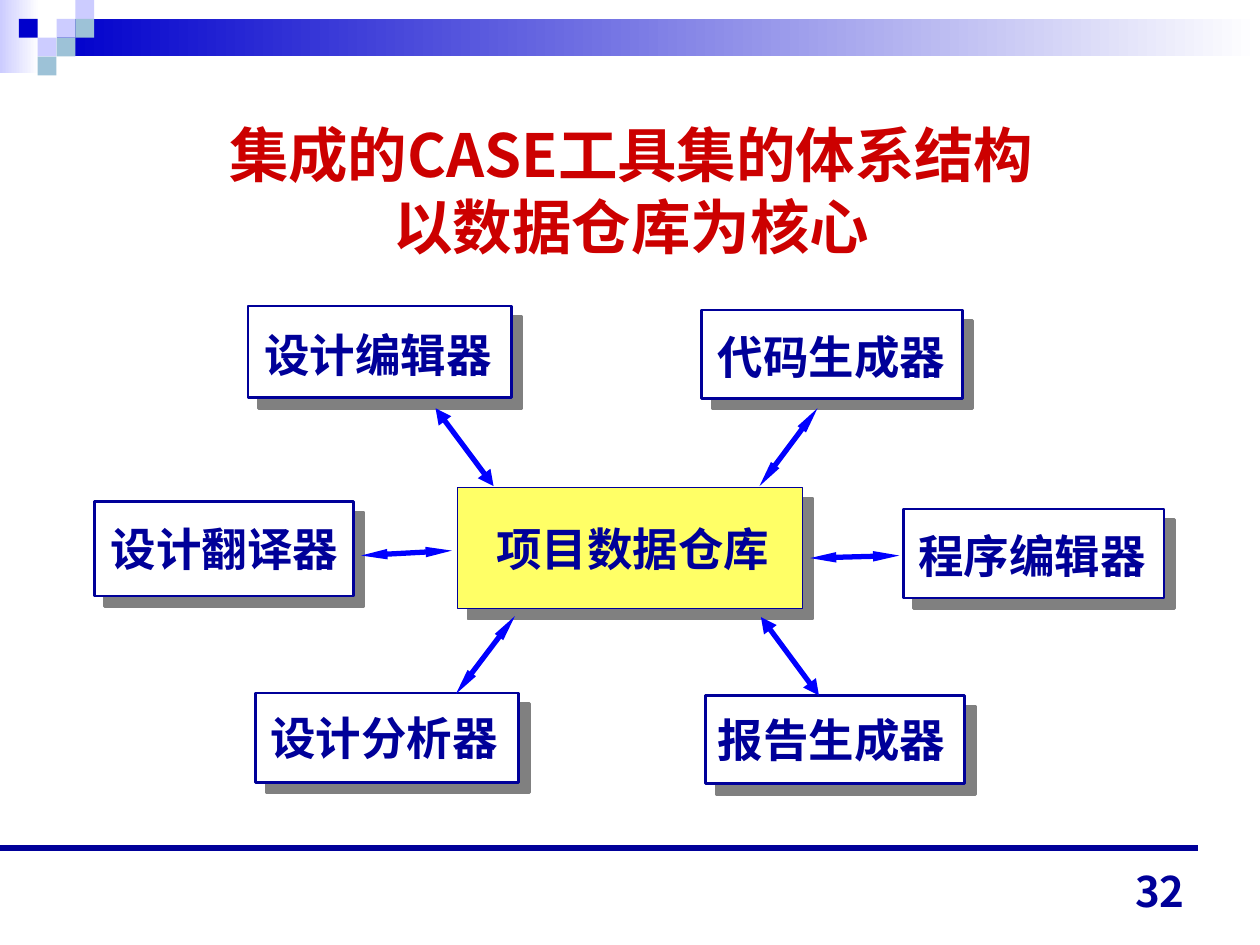
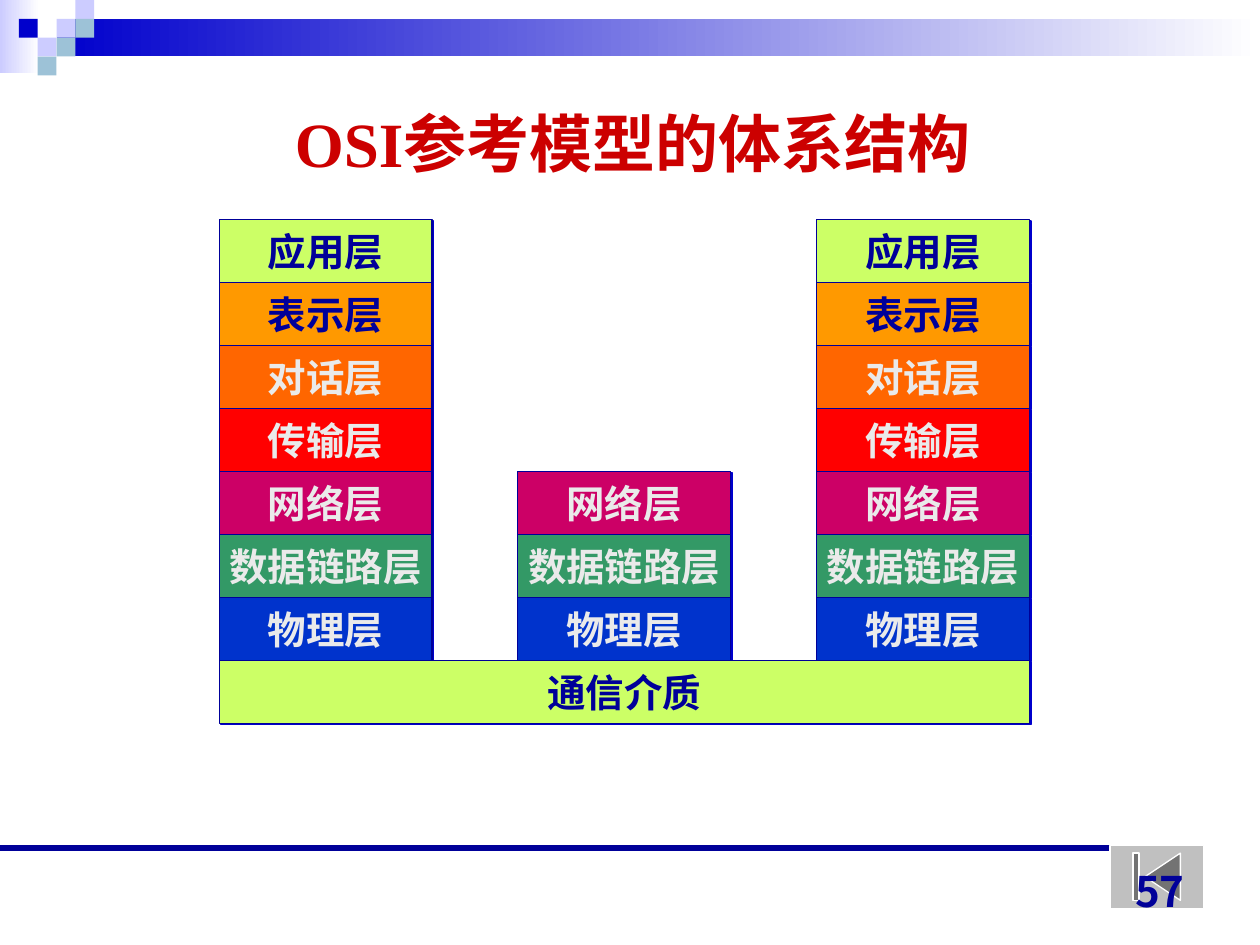
from copy import deepcopy

from lxml import etree
from pptx import Presentation
from pptx import util as u
from pptx.dml.color import RGBColor
from pptx.enum import shapes, text
from pptx.oxml.ns import qn

NAVY, BLUE, RED, WHITE = "000099", "0000CC", "CC0000", "FFFFFF"
LILAC, TEAL, PALE, LIME = "CCCCFF", "9DC2D7", "EAEAEA", "CCFF66"
SERIF, SANS, DIGITS = "Times New Roman", "Noto Sans CJK SC", "Noto Sans CJK JP"
RECT = shapes.MSO_SHAPE.RECTANGLE
ALIGN, ANCHOR = text.PP_ALIGN, text.MSO_ANCHOR

TITLE_FRAME = dict(word_wrap=True, auto_size=text.MSO_AUTO_SIZE.NONE, vertical_anchor=ANCHOR.MIDDLE)
LABEL_FRAME = dict(word_wrap=True, vertical_anchor=ANCHOR.TOP)
LAYER_FRAME = dict(word_wrap=False, vertical_anchor=ANCHOR.MIDDLE)
NUMBER_FRAME = dict(word_wrap=True, vertical_anchor=ANCHOR.BOTTOM)

TILE = 0.38
TILES = [(3, 1, LILAC), (4, 0, LILAC), (4, 1, TEAL), (2, 2, LILAC),
         (1, 1, BLUE), (3, 2, TEAL), (2, 3, TEAL)]

TOOLS = [
    ("设计分析器", (3.25, 7.8, 5.31, 1.8), (0.05, 0.1, 5.41)),
    ("报告生成器", (12.32, 7.85, 5.23, 1.78), (0, 0.08, 5.11)),
    ("项目数据仓库", (7.32, 3.66, 6.96, 2.44), (0.53, 0.43, 6.53)),
    ("设计编辑器", (3.1, 0, 5.31, 1.85), (0.08, 0.18, 5.36)),
    ("代码生成器", (12.24, 0.08, 5.26, 1.78), (0.08, 0.13, 5.11)),
    ("设计翻译器", (0, 3.94, 5.23, 1.91), (0.08, 0.15, 5.31)),
    ("程序编辑器", (16.31, 4.09, 5.26, 1.8), (0.05, 0.13, 5.64)),
]
CORE = "项目数据仓库"
ARROWS = [
    ((6.88, 2.06, 8.05, 3.63), "med", "med"),
    ((13.44, 6.27, 14.61, 7.85), "med", "med"),
    ((8.48, 6.25, 7.29, 7.82), "sm", "lg"),
    ((14.58, 2.06, 13.41, 3.63), "sm", "lg"),
    ((16.23, 5.03, 14.43, 5.08), "sm", "lg"),
    ((7.21, 4.93, 5.38, 5.03), "sm", "lg"),
]

LAYERS = [
    ("应用层", LIME, NAVY), ("表示层", "FF9900", NAVY), ("对话层", "FF6600", PALE),
    ("传输层", "FF0000", PALE), ("网络层", "CC0066", PALE),
    ("数据链路层", "339966", PALE), ("物理层", "0033CC", PALE),
]
MEDIUM = ("通信介质", LIME, NAVY)
FIRST_LAYERS = (0, 4, 0)


def rgb(value):
    return RGBColor.from_string(value)


def cm(*values):
    return [u.Cm(v) for v in values]


def assign(target, values):
    for name, value in values.items():
        setattr(target, name, value)


def write(tf, words, frame, size, color, font=SERIF, align=ALIGN.LEFT, spacing=None):
    assign(tf, frame)
    assign(tf, dict(margin_left=u.Cm(0.25), margin_right=u.Cm(0.25),
                    margin_top=u.Cm(0.13), margin_bottom=u.Cm(0.13)))
    p = tf.paragraphs[0]
    p.text = words
    p.alignment = align
    if spacing:
        p.line_spacing = u.Pt(spacing)
    for r in p.runs:
        assign(r.font, dict(name=font, size=u.Pt(size), bold=True))
        r.font.color.rgb = rgb(color)
        etree.SubElement(r._r.rPr, qn("a:ea"), typeface=SANS)
    for br in p._p.findall(qn("a:br")):
        br.insert(0, deepcopy(p.runs[0]._r.rPr))


def add_box(s, box, fill, line=None, width=0.75, shadow=None, kind=RECT):
    sp = s.shapes.add_shape(kind, *cm(*box))
    sp.shadow.inherit = False
    sp.fill.solid()
    sp.fill.fore_color.rgb = rgb(fill)
    if line:
        sp.line.color.rgb = rgb(line)
        sp.line.width = u.Pt(width)
    else:
        sp.line.fill.background()
    if shadow:
        color, distance = shadow
        effects = sp._element.spPr.find(qn("a:effectLst"))
        outer = etree.SubElement(effects, qn("a:outerShdw"), blurRad="0",
                                 dist=str(u.Pt(distance)), dir="2700000",
                                 algn="ctr", rotWithShape="0")
        etree.SubElement(outer, qn("a:srgbClr"), val=color)
    return sp


def add_fade(s, box, color):
    sp = add_box(s, box, color)
    sp.fill.gradient()
    sp.fill.gradient_angle = 0
    for stop, value in zip(sp.fill.gradient_stops, (color, WHITE)):
        stop.color.rgb = rgb(value)
    return sp


def add_line(s, ends, color, width):
    c = s.shapes.add_connector(shapes.MSO_CONNECTOR.STRAIGHT, *cm(*ends))
    c.line.color.rgb = rgb(color)
    c.line.width = u.Pt(width)
    etree.SubElement(c._element.spPr, qn("a:effectLst"))
    return c


def add_arrow(s, ends, head_width, head_length):
    c = add_line(s, ends, "0000FF", 3)
    for end in ("a:headEnd", "a:tailEnd"):
        etree.SubElement(c.line._get_or_add_ln(), qn(end), type="triangle",
                         w=head_width, len=head_length)


def decorate_master(s, master):
    parts = [add_fade(s, (0, 0, 0.79, 1.47), LILAC),
             add_fade(s, (1.14, 0.38, 24.26, 0.76), BLUE)]
    parts += [add_box(s, (col * TILE, row * TILE, TILE, TILE), color)
              for col, row, color in TILES]
    parts.append(add_line(s, (0, 17.09, 24.16, 17.09), NAVY, 3.25))
    for number, part in enumerate(parts, 20):
        part._element.xpath(".//p:cNvPr")[0].set("id", str(number))
        master.shapes.element.append(part._element)


def add_title(s, box, words, size, font, spacing=None):
    title = s.shapes.title
    assign(title, dict(zip(("left", "top", "width", "height"), cm(*box))))
    write(title.text_frame, words, TITLE_FRAME, size, RED, font, ALIGN.CENTER, spacing)


def add_number(s, number):
    tb = s.shapes.add_textbox(*cm(18.21, 17.32, 5.92, 1.27))
    write(tb.text_frame, number, NUMBER_FRAME, 24, NAVY, DIGITS, ALIGN.RIGHT)


def add_tool_map(s, box):
    left, top = box[:2]
    for name, (x, y, w, h), (dx, dy, label_w) in TOOLS:
        x, y = left + x, top + y
        fill, width = ("FFFF66", 0.75) if name == CORE else (WHITE, 1.5)
        add_box(s, (x, y, w, h), fill, NAVY, width, ("808080", 8.5))
        tb = s.shapes.add_textbox(*cm(x + dx, y + dy, label_w, 1.37))
        write(tb.text_frame, name, LABEL_FRAME, 26, NAVY, spacing=34.5)
    for (x1, y1, x2, y2), head_width, head_length in ARROWS:
        add_arrow(s, (left + x1, top + y1, left + x2, top + y2), head_width, head_length)


def add_layer(s, box, name, fill, color):
    sp = add_box(s, box, fill, NAVY, shadow=(BLUE, 1.4))
    write(sp.text_frame, name, LAYER_FRAME, 22, color, align=ALIGN.CENTER)


def add_layer_stacks(s, box, stack_w=4.29):
    left, top, width, height = box
    row_h = height / (len(LAYERS) + 1)
    step = (width - stack_w) / (len(FIRST_LAYERS) - 1)
    for col, first in enumerate(FIRST_LAYERS):
        for row, layer in enumerate(LAYERS[first:], first):
            add_layer(s, (left + col * step, top + row * row_h, stack_w, row_h), *layer)
    add_layer(s, (left, top + len(LAYERS) * row_h, width, row_h), *MEDIUM)


def build_tools_slide(s):
    add_title(s, (2.36, 2.11, 20.73, 3.43), "集成的CASE工具集的体系结构\v以数据仓库为核心",
              34, SANS, 41)
    add_tool_map(s, (1.9, 6.17, 21.57, 9.65))
    add_number(s, "32")


def build_osi_slide(s):
    add_title(s, (1.96, 1.9, 21.59, 1.93), "OSI参考模型的体系结构", 36, SERIF)
    add_layer_stacks(s, (4.42, 4.42, 16.33, 10.16))
    add_box(s, (22.38, 17.04, 1.88, 1.27), "C0C0C0", WHITE,
            kind=shapes.MSO_SHAPE.ACTION_BUTTON_BEGINNING)
    add_number(s, "57")


def main():
    prs = Presentation()
    prs.slide_width, prs.slide_height = cm(25.4, 19.05)
    title_only = prs.slide_layouts[5]
    tools, osi = [prs.slides.add_slide(title_only) for _ in range(2)]
    decorate_master(tools, prs.slide_master)
    build_tools_slide(tools)
    build_osi_slide(osi)
    prs.save("out.pptx")


if __name__ == "__main__":
    main()
